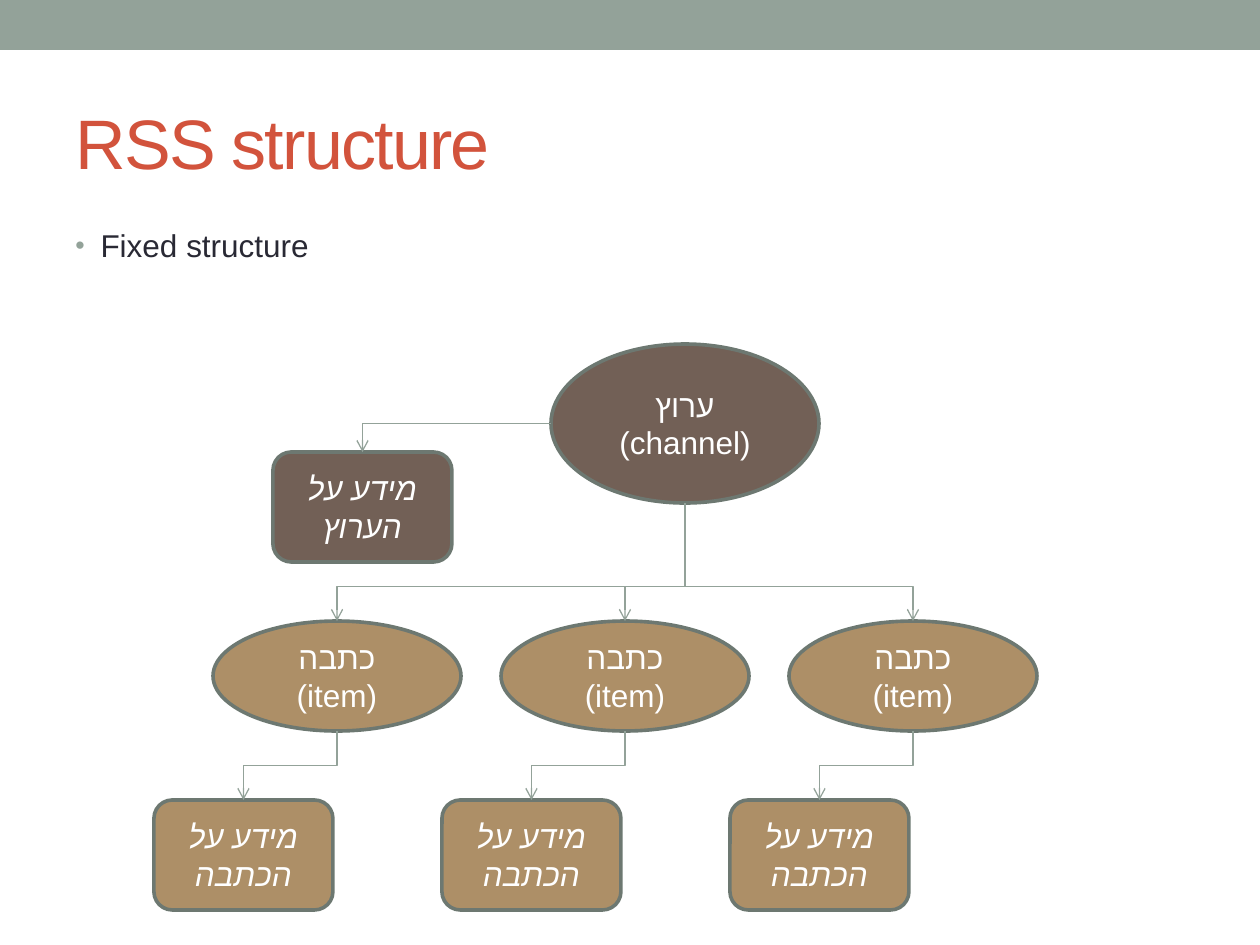
import lxml.etree
import pptx
import pptx.dml.color
import pptx.enum.shapes
import pptx.enum.text
import pptx.oxml.ns
import pptx.util

SHAPES = pptx.enum.shapes.MSO_SHAPE
ANCHOR = pptx.enum.text.MSO_ANCHOR
ALIGN = pptx.enum.text.PP_ALIGN
PX = 914400 / 126
COLORS = {
    "bar": "93A299", "title": "D2533C", "body": "292934", "white": "FFFFFF",
    "channel": "726056", "item": "AD8F67", "outline": "6D7871",
}
ELLIPSE_LEFT, ELLIPSE_BOTTOM = 2, 4


def emu(px):
    return pptx.util.Emu(round(px * PX))


def rgb(name):
    return pptx.dml.color.RGBColor.from_string(COLORS[name])


def add_xml(parent, tag, **attributes):
    return lxml.etree.SubElement(parent, pptx.oxml.ns.qn(f"a:{tag}"), attributes)


class Diagram:
    """Draws the elements of one slide in a shared style."""

    def __init__(self, slide, font="Arial"):
        self.slide = slide
        self.font = font

    def fill_text(self, frame, text, color, size=18, align=ALIGN.LEFT,
                  anchor=ANCHOR.TOP, italic=False):
        frame.word_wrap = True
        frame.vertical_anchor = anchor
        paragraph = frame.paragraphs[0]
        paragraph.alignment = align
        run = paragraph.add_run()
        run.text = text
        run.font.color.rgb = rgb(color)
        style = {"name": self.font, "size": pptx.util.Pt(size), "italic": italic}
        for key, value in style.items():
            setattr(run.font, key, value)
        add_xml(run.font._element, "cs", typeface=self.font)
        return paragraph

    def bar(self, x, y, w, h):
        bar = self.slide.shapes.add_shape(SHAPES.RECTANGLE, *map(emu, (x, y, w, h)))
        bar.shadow.inherit = False
        bar.fill.solid()
        bar.fill.fore_color.rgb = rgb("bar")
        bar.line.fill.background()

    def title(self, text, x, y, w, h):
        box = self.slide.shapes.add_textbox(*map(emu, (x, y, w, h)))
        heading = self.fill_text(box.text_frame, text, "title", 40, anchor=ANCHOR.MIDDLE)
        heading.runs[0].font._element.set("spc", "-100")

    def bullet(self, text, x, y, w, h):
        box = self.slide.shapes.add_textbox(*map(emu, (x, y, w, h)))
        properties = self.fill_text(box.text_frame, text, "body")._p.get_or_add_pPr()
        indent = pptx.util.Inches(0.2)
        properties.set("marL", str(indent))
        properties.set("indent", str(-indent))
        add_xml(add_xml(properties, "spcBef"), "spcPct", val="20000")
        add_xml(add_xml(properties, "buClr"), "srgbClr", val=COLORS["bar"])
        add_xml(properties, "buSzPct", val="85000")
        add_xml(properties, "buFont", typeface=self.font)
        add_xml(properties, "buChar", char="•")

    def node(self, kind, text, fill, x, y, w, h, italic=False):
        node = self.slide.shapes.add_shape(kind, *map(emu, (x, y, w, h)))
        node.shadow.inherit = False
        node.fill.solid()
        node.fill.fore_color.rgb = rgb(fill)
        node.line.color.rgb = rgb("outline")
        node.line.width = pptx.util.Pt(2.08)
        self.fill_text(node.text_frame, text, "white", align=ALIGN.CENTER,
                       anchor=ANCHOR.MIDDLE, italic=italic)
        return node

    def topic(self, text, fill, x, y, w, h):
        return self.node(SHAPES.OVAL, text, fill, x, y, w, h)

    def info(self, text, fill, x, y):
        return self.node(SHAPES.ROUNDED_RECTANGLE, text, fill, x, y, 179, 110, True)

    def link(self, source, target, site=ELLIPSE_BOTTOM, bend=0.5):
        arrow = self.slide.shapes.add_connector(
            pptx.enum.shapes.MSO_CONNECTOR.ELBOW, 0, 0, 0, 0)
        arrow.begin_connect(source, ELLIPSE_LEFT)
        arrow.element.nvCxnSpPr.cNvCxnSpPr.stCxn.idx = site
        arrow.end_connect(target, 0)
        arrow.line.color.rgb = rgb("bar")
        arrow.line.width = pptx.util.Pt(0.75)
        add_xml(arrow.line._get_or_add_ln(), "tailEnd", type="arrow")
        properties = arrow.element.spPr
        add_xml(properties, "effectLst")

        end_x, end_y = target.left + target.width // 2, target.top
        if site == ELLIPSE_LEFT:
            start_x, start_y = source.left, source.top + source.height // 2
            width, height = start_x - end_x, end_y - start_y
            turn = {"rot": "10800000", "flipV": "1"}
            properties.prstGeom.set("prst", "bentConnector2")
        else:
            start_x, start_y = source.left + source.width // 2, source.top + source.height
            width, height = end_y - start_y, abs(end_x - start_x)
            turn = ({"rot": "16200000", "flipH": "1"} if end_x > start_x
                    else {"rot": "5400000"})
            add_xml(properties.prstGeom.get_or_add_avLst(), "gd",
                    name="adj1", fmla=f"val {round(bend * 100000)}")
        frame = properties.xfrm
        for flag in ("flipH", "flipV"):
            frame.attrib.pop(flag, None)
        for key, value in turn.items():
            frame.set(key, value)
        place = {"left": (start_x + end_x - width) // 2,
                 "top": (start_y + end_y - height) // 2,
                 "width": width, "height": height}
        for key, value in place.items():
            setattr(arrow, key, pptx.util.Emu(value))


def main():
    deck = pptx.Presentation()
    deck.slide_width, deck.slide_height = emu(1260), emu(945)
    diagram = Diagram(deck.slides.add_slide(deck.slide_layouts[6]))

    diagram.bar(0, 0, 1260, 50)
    diagram.title("RSS structure", 63, 73, 1134, 136)
    diagram.bullet("Fixed structure", 63, 220, 1134, 672)

    channel = diagram.topic("ערוץ (channel)", "channel", 551, 344, 268, 159)
    channel_info = diagram.info("מידע על הערוץ", "channel", 273, 452)
    diagram.link(channel, channel_info, ELLIPSE_LEFT)

    for column in range(3):
        shift = column * 288
        item = diagram.topic("כתבה (item)", "item", 213 + shift, 621, 248, 110)
        item_info = diagram.info("מידע על הכתבה", "item", 154 + shift, 800)
        diagram.link(channel, item, bend=0.71)
        diagram.link(item, item_info)

    deck.save("out.pptx")


if __name__ == "__main__":
    main()
